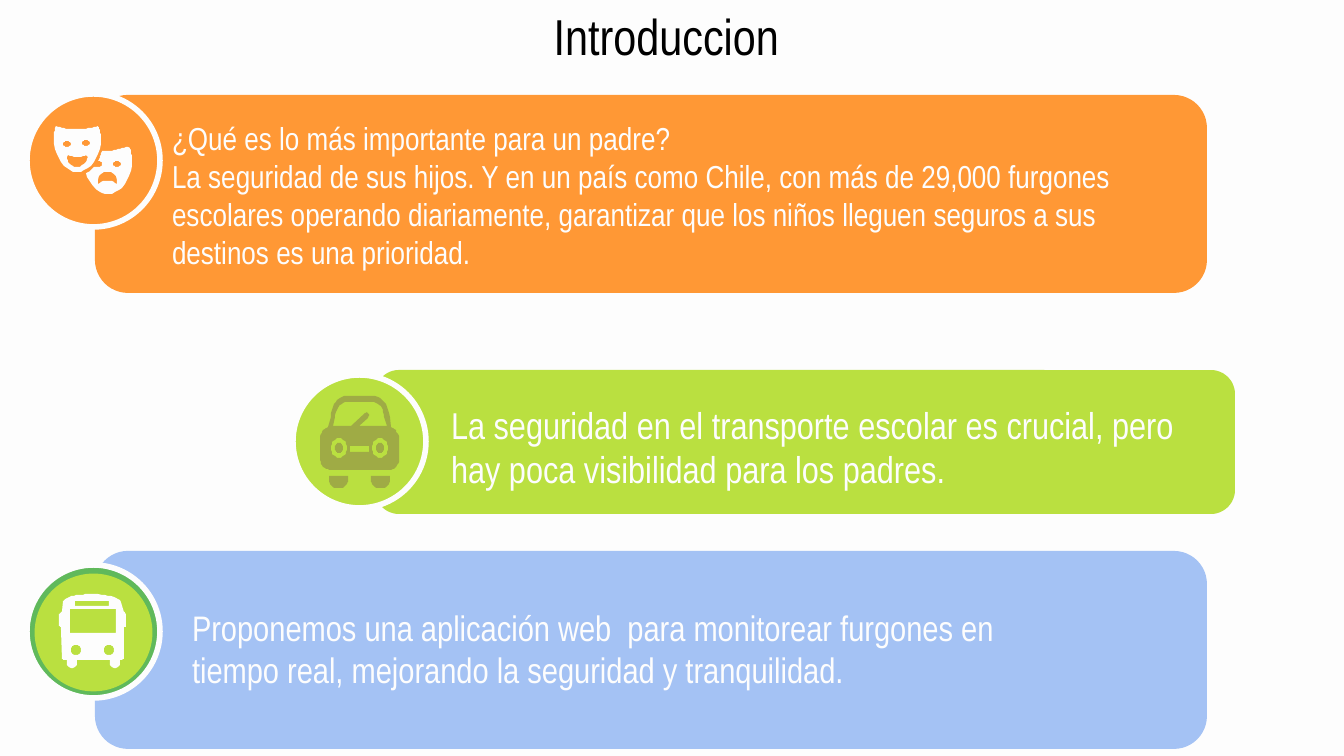
from dataclasses import dataclass
from math import cos, pi, sin

from pptx import Presentation
from pptx.dml.color import RGBColor as Rgb
from pptx.enum.shapes import MSO_SHAPE as Kind
from pptx.enum.text import MSO_ANCHOR as Anchor, MSO_AUTO_SIZE as Fit, PP_ALIGN as Align
from pptx.shapes.autoshape import Shape
from pptx.slide import Slide
from pptx.text.text import TextFrame
from pptx.util import Emu, Pt

SCALE = 914400 / 134.4  # EMU per px
DISC = 133
PAD = 13

Point = tuple[float, float]
Loop = list[Point]
Box = tuple[int, int, int, int]


@dataclass(frozen=True)
class Theme:
    font: str = "Arial Narrow"
    paper: str = "FDFDFD"
    ink: str = "000000"
    orange: str = "FF9835"
    lime: str = "BAE040"
    blue: str = "A4C2F4"
    green: str = "60B95B"
    olive: str = "9FAB45"
    title: int = 27
    ring: int = 3
    rim: int = 9


THEME = Theme()


@dataclass(frozen=True)
class Card:
    box: Box
    fill: str
    disc: Point
    tint: str
    area: Box
    size: int
    text: str


CARDS = [
    Card((95, 95, 1112, 198), THEME.orange, (27, 94), THEME.orange,
         (159, 112, 1025, 165), 17,
         "¿Qué es lo más importante para un padre?\n"
         "La seguridad de sus hijos. Y en un país como Chile, con más de 29,000 "
         "furgones escolares operando diariamente, garantizar que los niños "
         "lleguen seguros a sus destinos es una prioridad."),
    Card((375, 370, 860, 144), THEME.lime, (293, 375), THEME.lime,
         (438, 388, 778, 117), 20,
         "La seguridad en el transporte escolar es crucial, "
         "pero hay poca visibilidad para los padres."),
    Card((95, 551, 1112, 198), THEME.blue, (27, 565), THEME.green,
         (179, 559, 847, 179), 19,
         "Proponemos una aplicación web  para monitorear furgones en "
         "tiempo real, mejorando la seguridad y tranquilidad."),
]


# Outlines: a step of two numbers is a corner, one of six is a cubic curve
def trace(*steps: tuple[int, ...]) -> Loop:
    loop: Loop = []
    for step in steps:
        if len(step) == 2:
            loop.append(step)
            continue
        knots = [loop[-1], step[:2], step[2:4], step[4:]]
        for i in range(1, 11):
            t = i / 10
            load = ((1 - t) ** 3, 3 * t * (1 - t) ** 2, 3 * t * t * (1 - t), t ** 3)
            loop.append((sum(w * k[0] for w, k in zip(load, knots)),
                         sum(w * k[1] for w, k in zip(load, knots))))
    return loop


def oval(x: int, y: int, wide: int, high: int) -> Loop:
    turns = [2 * pi * i / 32 for i in range(32)]
    return [(x + wide * cos(a), y + high * sin(a)) for a in turns]


def block(x: int, y: int, w: int, h: int) -> Loop:
    return [(x, y), (x + w, y), (x + w, y + h), (x, y + h)]


def wheel(x: int) -> Loop:
    return trace((x, 476), (x + 19, 476), (x + 19, 479),
                 (x + 19, 484, x + 16, 488, x + 12, 488), (x + 7, 488),
                 (x + 3, 488, x, 484, x, 479))


MASKS = [
    # Happy face, mouth and eyes
    trace((56, 126), (54, 132, 54, 135, 54, 138), (54, 157, 65, 172, 77, 172),
          (90, 172, 101, 157, 101, 138), (101, 135, 100, 132, 99, 128),
          (99, 127, 98, 126, 98, 126), (91, 128, 85, 129, 77, 129),
          (69, 129, 62, 129, 56, 126)),
    trace((68, 155), (74, 158, 82, 158, 86, 155), (88, 157),
          (86, 163, 82, 167, 77, 167), (72, 167, 67, 163, 67, 157)),
    oval(67, 144, 4, 3), oval(86, 143, 4, 3),
    # Sad face, mouth and eye
    trace((128, 147), (121, 148, 115, 151, 108, 151), (102, 151),
          (101, 155, 100, 158, 98, 161), (104, 161, 104, 167, 98, 167), (94, 167),
          (92, 169, 90, 172, 86, 173), (90, 185, 98, 194, 108, 194),
          (121, 194, 132, 179, 132, 161), (132, 156, 131, 152, 130, 148)),
    trace((98, 184), (95, 168, 120, 168, 117, 184), (112, 180, 103, 180, 98, 184)),
    oval(117, 164, 4, 3),
]

CAR = [
    trace((347, 396), (338, 396, 331, 405, 331, 417), (328, 427),
          (324, 429, 320, 433, 320, 439), (320, 458), (320, 465, 325, 470, 331, 470),
          (390, 470), (395, 470, 399, 465, 399, 458), (399, 439),
          (399, 433, 395, 429, 391, 427), (390, 417), (388, 405, 382, 396, 372, 396)),
    trace((347, 402), (340, 402, 336, 409, 335, 417), (333, 426), (351, 426),
          (365, 413), (368, 411, 370, 415, 368, 418), (359, 426), (387, 426),
          (384, 417), (384, 409, 379, 402, 372, 402)),
    block(350, 446, 19, 6),
    *[oval(x, 448, r, r + r // 4) for x in (339, 380) for r in (8, 4)],
    *[wheel(x) for x in (329, 371)],
]

BUS = [
    trace((87, 594), (80, 595, 74, 595, 70, 597), (66, 598, 64, 600, 63, 602),
          (62, 612), (59, 613, 59, 615, 59, 617), (59, 624),
          (59, 626, 60, 627, 61, 627), (62, 657), (62, 659, 63, 660, 65, 660),
          (67, 660), (67, 664), (67, 669, 77, 669, 77, 664), (77, 660), (110, 660),
          (110, 664), (110, 669, 120, 669, 120, 664), (120, 660),
          (122, 660, 124, 659, 124, 657), (124, 627), (126, 627, 126, 626, 126, 624),
          (126, 617), (126, 615, 126, 613, 124, 612), (121, 602),
          (118, 596, 106, 595, 95, 594)),
    block(75, 601, 34, 5), block(70, 609, 46, 24),
    oval(76, 650, 5, 5), oval(109, 650, 5, 5),
]


def px(n: float) -> Emu:
    return Emu(round(n * SCALE))


def paint(shape: Shape, fill: str, line: str | None = None, width: int = 0) -> None:
    shape.shadow.inherit = False
    shape.fill.solid()
    shape.fill.fore_color.rgb = Rgb.from_string(fill)
    if line:
        shape.line.color.rgb = Rgb.from_string(line)
        shape.line.width = Pt(width)
    else:
        shape.line.fill.background()


def write(frame: TextFrame, text: str, size: int, tint: str, align: Align) -> None:
    frame.text = text
    frame.word_wrap = True
    frame.auto_size = Fit.NONE
    frame.vertical_anchor = Anchor.MIDDLE
    frame.margin_left = frame.margin_right = px(PAD)
    frame.margin_top = frame.margin_bottom = px(PAD)
    for para in frame.paragraphs:
        para.alignment = align
        for run in para.runs:
            run.font.name = THEME.font
            run.font.size = Pt(size)
            run.font.color.rgb = Rgb.from_string(tint)


def draw_card(slide: Slide, card: Card) -> None:
    panel = slide.shapes.add_shape(Kind.ROUNDED_RECTANGLE, *map(px, card.box))
    paint(panel, card.fill)
    disc = slide.shapes.add_shape(Kind.OVAL, *map(px, (*card.disc, DISC, DISC)))
    paint(disc, card.tint, THEME.paper, THEME.ring)
    label = slide.shapes.add_textbox(*map(px, card.area))
    write(label.text_frame, card.text, card.size, THEME.paper, Align.LEFT)


def draw_icon(slide: Slide, loops: list[Loop], fill: str) -> None:
    pen = slide.shapes.build_freeform(*loops[0][0], scale=SCALE)
    for loop in loops:
        pen.move_to(*loop[0])
        pen.add_line_segments(loop[1:], close=True)
    paint(pen.convert_to_shape(), fill)


def main() -> None:
    deck = Presentation()
    deck.slide_width, deck.slide_height = px(1344), px(756)
    slide = deck.slides.add_slide(deck.slide_layouts[5])
    slide.background.fill.solid()
    slide.background.fill.fore_color.rgb = Rgb.from_string(THEME.paper)

    # Title
    title = slide.shapes.title
    title.left, title.top, title.width, title.height = map(px, (74, 27, 1196, 16))
    write(title.text_frame, "Introduccion ", THEME.title, THEME.ink, Align.CENTER)

    # Cards
    for card in CARDS:
        draw_card(slide, card)

    # Icons
    badge = slide.shapes.add_shape(Kind.OVAL, *map(px, (43, 582, 101, 101)))
    paint(badge, THEME.lime, THEME.lime, THEME.rim)
    for loops, fill in ((MASKS, THEME.paper), (CAR, THEME.olive), (BUS, THEME.paper)):
        draw_icon(slide, loops, fill)

    deck.save("out.pptx")


if __name__ == "__main__":
    main()
